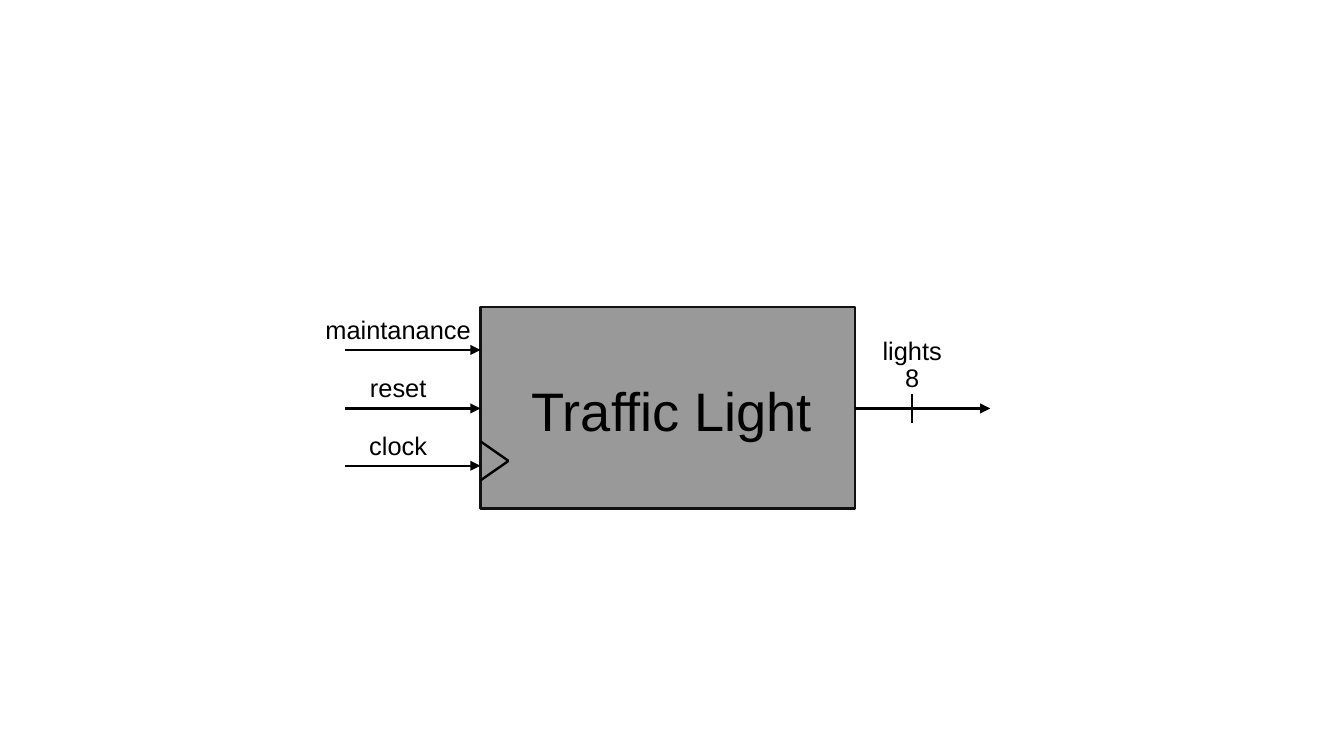
from dataclasses import dataclass

from lxml.etree import SubElement
from pptx import Presentation
from pptx.dml.color import RGBColor
from pptx.enum.shapes import MSO_CONNECTOR, MSO_SHAPE
from pptx.enum.text import MSO_ANCHOR, MSO_AUTO_SIZE, PP_ALIGN
from pptx.oxml.ns import qn
from pptx.util import Inches, Pt


@dataclass(frozen=True)
class Theme:
    font: str = "Arial"
    ink: RGBColor = RGBColor(0x00, 0x00, 0x00)
    block_fill: RGBColor = RGBColor(0x99, 0x99, 0x99)
    block_line: RGBColor = RGBColor(0x11, 0x11, 0x11)
    line_width: float = 1.42
    name_size: int = 32
    label_size: int = 15


THEME = Theme()

# Content, lengths in inches
SLIDE_SIZE = (11.02, 6.2)
BLOCK_NAME = "Traffic Light"
BLOCK = (3.94, 2.52, 3.07, 1.65)
BLOCK_NAME_BOX = (4.33, 2.86, 2.36, 1)
INPUTS = [  # name, wire height, label box height
    ("maintanance", 2.87, 0.68),
    ("reset", 3.35, 0.59),
    ("clock", 3.82, 0.68),
]
OUTPUT_Y = 3.35
OUTPUT_LABELS = [  # text, top, width, height
    ("8", 2.91, 0.47, 0.37),
    ("lights", 2.68, 0.94, 0.39),
]

# Layout rules
BLOCK_LEFT = BLOCK[0]
BLOCK_RIGHT = BLOCK[0] + BLOCK[2]
WIRE_LENGTH = 1.11
INPUT_LABEL_LEFT, INPUT_LABEL_WIDTH = 2.36, 1.81
LABEL_RISE = 0.17
BUS_X = 7.48
BUS_HALF = 0.12
CLOCK_TIP = (4.17, 3.78)
CLOCK_HALF = 0.16

FRAME_FORMAT = {
    "margin_left": 0, "margin_right": 0, "margin_top": 0, "margin_bottom": 0,
    "word_wrap": True,
    "auto_size": MSO_AUTO_SIZE.NONE,
    "vertical_anchor": MSO_ANCHOR.MIDDLE,
}


def write(shape, text, size):
    frame = shape.text_frame
    frame.text = text
    for key, value in FRAME_FORMAT.items():
        setattr(frame, key, value)
    paragraph = frame.paragraphs[0]
    paragraph.alignment = PP_ALIGN.CENTER
    font = paragraph.runs[0].font
    font.name, font.size = THEME.font, Pt(size)
    font.color.rgb = THEME.ink


def add_label(slide, text, left, top, width, height):
    box = slide.shapes.add_textbox(*map(Inches, (left, top, width, height)))
    write(box, text, THEME.label_size)


def add_line(slide, start, end, arrow=False):
    line = slide.shapes.add_connector(
        MSO_CONNECTOR.STRAIGHT, *map(Inches, (*start, *end)))
    line.line.color.rgb = THEME.ink
    line.line.width = Pt(THEME.line_width)
    if arrow:
        SubElement(line.line._get_or_add_ln(), qn("a:tailEnd"), type="triangle")
    SubElement(line.element.spPr, qn("a:effectLst"))


def main():
    deck = Presentation()
    deck.slide_width, deck.slide_height = map(Inches, SLIDE_SIZE)
    slide = deck.slides.add_slide(deck.slide_layouts[5])

    # Block, placed behind its name
    block = slide.shapes.add_shape(
        MSO_SHAPE.FLOWCHART_PROCESS, *map(Inches, BLOCK))
    block.shadow.inherit = False
    block.fill.solid()
    block.fill.fore_color.rgb = THEME.block_fill
    block.line.color.rgb = THEME.block_line
    block.line.width = Pt(THEME.line_width)
    block_name = slide.shapes.title
    block_name.element.addprevious(block.element)
    for side, value in zip(("left", "top", "width", "height"), BLOCK_NAME_BOX):
        setattr(block_name, side, Inches(value))
    write(block_name, BLOCK_NAME, THEME.name_size)

    # Inputs
    for name, y, height in INPUTS:
        add_line(slide, (BLOCK_LEFT - WIRE_LENGTH, y), (BLOCK_LEFT, y), arrow=True)
        add_label(slide, name, INPUT_LABEL_LEFT, y - LABEL_RISE - height / 2,
                  INPUT_LABEL_WIDTH, height)

    # Clock wedge
    for offset in (-CLOCK_HALF, CLOCK_HALF):
        add_line(slide, (BLOCK_LEFT, CLOCK_TIP[1] + offset), CLOCK_TIP)

    # Output bus
    add_line(slide, (BLOCK_RIGHT, OUTPUT_Y),
             (BLOCK_RIGHT + WIRE_LENGTH, OUTPUT_Y), arrow=True)
    add_line(slide, (BUS_X, OUTPUT_Y - BUS_HALF), (BUS_X, OUTPUT_Y + BUS_HALF))
    for text, top, width, height in OUTPUT_LABELS:
        add_label(slide, text, BUS_X - width / 2, top, width, height)

    deck.save("out.pptx")


if __name__ == "__main__":
    main()
